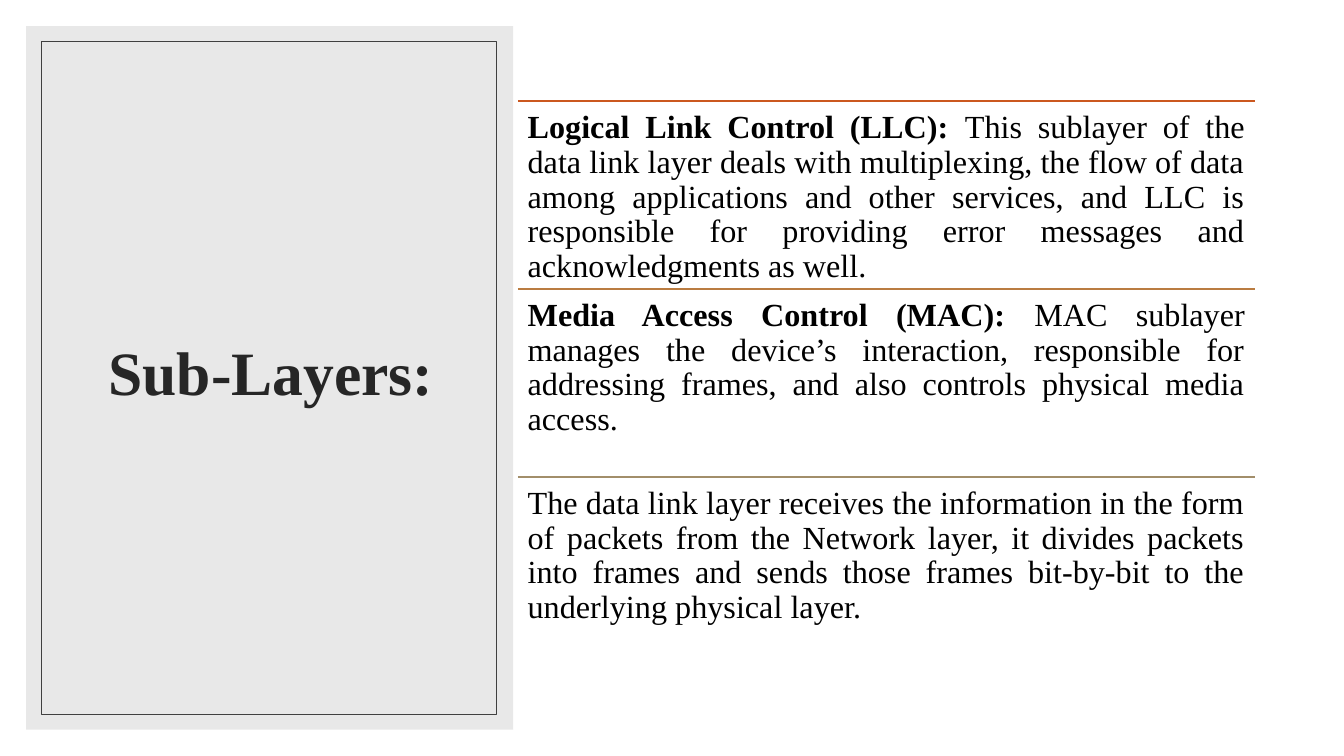
from lxml.etree import SubElement
from pptx import Presentation
from pptx.dml.color import RGBColor
from pptx.enum.shapes import MSO_CONNECTOR, MSO_SHAPE
from pptx.enum.text import MSO_ANCHOR, MSO_AUTO_SIZE, PP_ALIGN
from pptx.oxml.ns import qn
from pptx.util import Pt

THEME = {
    "font": "Times New Roman",
    "title_size": 44,
    "body_size": 23,
    "panel": "D9D9D9",
    "frame": "404040",
    "title": "262626",
    "body": "000000",
    "rules": ["CB581F", "BA7C41", "A28E6A"],
}

SECTIONS = [
    ("Logical Link Control (LLC): ",
     "This sublayer of the data link layer deals with multiplexing, the flow of data "
     "among applications and other services, and LLC is responsible for providing "
     "error messages and acknowledgments as well."),
    ("Media Access Control (MAC): ",
     "MAC sublayer manages the device’s interaction, responsible for addressing "
     "frames, and also controls physical media access."),
    ("",
     "The data link layer receives the information in the form of packets from the "
     "Network layer, it divides packets into frames and sends those frames "
     "bit-by-bit to the underlying physical layer."),
]


def rgb(name):
    return RGBColor.from_string(THEME.get(name, name))


def add_run(p, text, role, bold):
    r = p.add_run()
    r.text = text
    style = {"name": THEME["font"], "size": Pt(THEME[role + "_size"]), "bold": bold}
    for key, value in style.items():
        setattr(r.font, key, value)
    r.font.color.rgb = rgb(role)


prs = Presentation()
prs.slide_width, prs.slide_height = Pt(960), Pt(540)
s = prs.slides.add_slide(prs.slide_layouts[5])

panel = s.shapes.add_shape(MSO_SHAPE.RECTANGLE, Pt(18.6), Pt(18.6), Pt(348), Pt(502.6))
panel.shadow.inherit = False
panel.fill.solid()
panel.fill.fore_color.rgb = rgb("panel")
panel.line.fill.background()
color = panel.fill._xPr.find(qn("a:solidFill"))[0]
SubElement(color, qn("a:alpha"), val="60000")

title = s.shapes.title
title.element.addprevious(panel.element)
box = {"left": 45.4, "top": 43.9, "width": 296.6, "height": 449.3}
for key, value in box.items():
    setattr(title, key, Pt(value))
tf = title.text_frame
frame_format = {"word_wrap": True, "auto_size": MSO_AUTO_SIZE.NONE,
                "vertical_anchor": MSO_ANCHOR.MIDDLE}
for key, value in frame_format.items():
    setattr(tf, key, value)
p = tf.paragraphs[0]
p.alignment = PP_ALIGN.CENTER
p.line_spacing = 0.9
add_run(p, "Sub-Layers:", "title", True)

frame = s.shapes.add_shape(MSO_SHAPE.RECTANGLE, Pt(29.5), Pt(29.5), Pt(324.7), Pt(481))
frame.shadow.inherit = False
frame.fill.background()
frame.line.color.rgb = rgb("frame")
frame.line.width = Pt(0.5)

left, top, width, pitch = 370, 72.2, 526.3, 134.2
for i, ((lead, body), rule) in enumerate(zip(SECTIONS, THEME["rules"])):
    y = Pt(top + i * pitch)
    line = s.shapes.add_connector(MSO_CONNECTOR.STRAIGHT, Pt(left), y, Pt(left + width), y)
    line.line.color.rgb = rgb(rule)
    line.line.width = Pt(1)
    SubElement(line.element.spPr, qn("a:effectLst"))

    sp = s.shapes.add_textbox(Pt(left), y, Pt(width), Pt(pitch))
    tf = sp.text_frame
    tf.word_wrap = True
    for side in ("left", "top", "right", "bottom"):
        setattr(tf, "margin_" + side, Pt(6.9))
    p = tf.paragraphs[0]
    p.alignment = PP_ALIGN.JUSTIFY
    p.line_spacing = 0.9
    if lead:
        add_run(p, lead, "body", True)
    add_run(p, body, "body", False)

prs.save("out.pptx")
